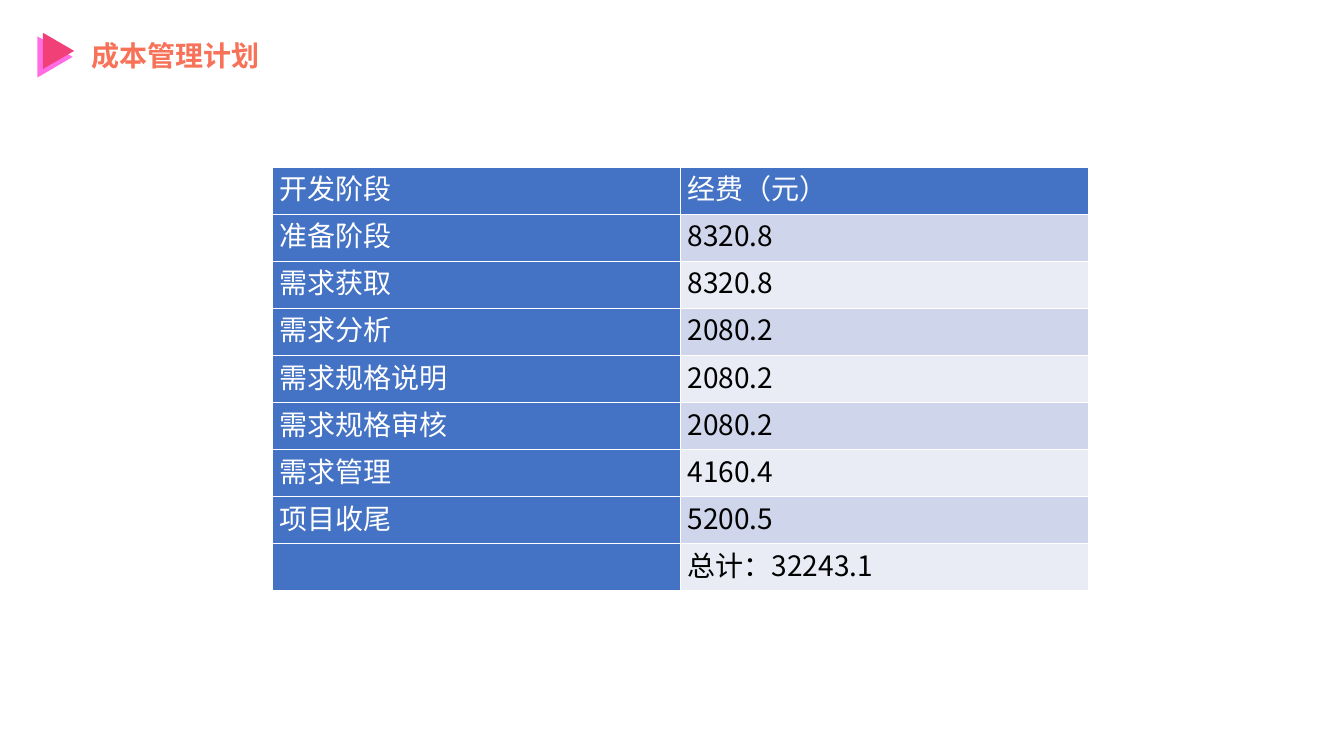
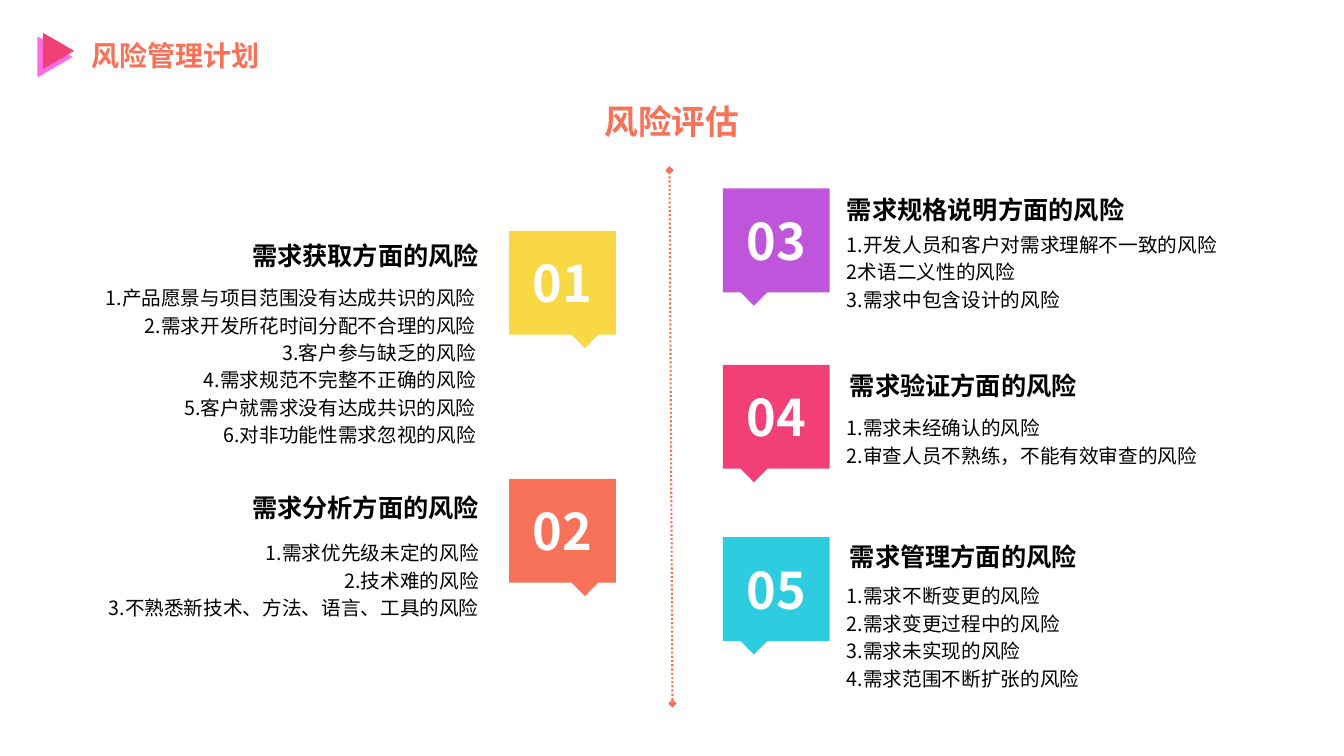
from dataclasses import dataclass

from lxml.etree import SubElement
from pptx import Presentation
from pptx.dml.color import RGBColor
from pptx.enum.dml import MSO_LINE
from pptx.enum.shapes import MSO_CONNECTOR, MSO_SHAPE
from pptx.enum.text import MSO_ANCHOR, MSO_AUTO_SIZE, PP_ALIGN
from pptx.oxml.ns import qn
from pptx.util import Inches, Pt

FONT = "Noto Sans CJK SC"
CORAL, PINK, ROSE = "F77258", "FF6CE4", "F04077"
GOLD, PURPLE, CYAN = "F8D845", "BF55DB", "2DCCDF"
BLUE, DARK, LIGHT = "4472C4", "CFD5EA", "E9EBF5"
WHITE, BLACK = "FFFFFF", "000000"

Box = tuple[float, float, float, float]


@dataclass
class Risk:
    num: str
    tint: str
    top: float
    left: bool
    name: str
    head: Box
    body: Box
    items: list[str]


COSTS = [
    ("开发阶段", "经费（元）"),
    ("准备阶段", "8320.8"),
    ("需求获取", "8320.8"),
    ("需求分析", "2080.2"),
    ("需求规格说明", "2080.2"),
    ("需求规格审核", "2080.2"),
    ("需求管理", "4160.4"),
    ("项目收尾", "5200.5"),
    ("", "总计：32243.1"),
]

RISKS = [
    Risk("01", GOLD, 2.29, True, "需求获取方面的风险",
         (2.48, 2.38, 2.27, 0.3), (0.6, 2.81, 4.12, 1.65),
         ["1.产品愿景与项目范围没有达成共识的风险",
          "2.需求开发所花时间分配不合理的风险",
          "3.客户参与缺乏的风险",
          "4.需求规范不完整不正确的风险",
          "5.客户就需求没有达成共识的风险",
          "6.对非功能性需求忽视的风险"]),
    Risk("02", CORAL, 4.75, True, "需求分析方面的风险",
         (2.48, 4.88, 2.27, 0.3), (0.6, 5.36, 4.15, 0.8),
         ["1.需求优先级未定的风险",
          "2.技术难的风险",
          "3.不熟悉新技术、方法、语言、工具的风险"]),
    Risk("03", PURPLE, 1.87, False, "需求规格说明方面的风险",
         (8.4, 1.93, 2.78, 0.3), (8.4, 2.3, 3.99, 0.8),
         ["1.开发人员和客户对需求理解不一致的风险",
          "2术语二义性的风险",
          "3.需求中包含设计的风险"]),
    Risk("04", ROSE, 3.62, False, "需求验证方面的风险",
         (8.43, 3.67, 2.27, 0.3), (8.4, 4.12, 3.66, 0.52),
         ["1.需求未经确认的风险",
          "2.审查人员不熟练，不能有效审查的风险"]),
    Risk("05", CYAN, 5.33, False, "需求管理方面的风险",
         (8.43, 5.37, 2.27, 0.3), (8.4, 5.78, 3.38, 1.08),
         ["1.需求不断变更的风险",
          "2.需求变更过程中的风险",
          "3.需求未实现的风险",
          "4.需求范围不断扩张的风险"]),
]


def rgb(code: str) -> RGBColor:
    return RGBColor.from_string(code)


def place(box: Box) -> list:
    return [Inches(v) for v in box]


def write(frame, lines: list[str], size: float, tint: str,
          bold: bool = False, align=PP_ALIGN.LEFT) -> None:
    for i, line in enumerate(lines):
        para = frame.add_paragraph() if i else frame.paragraphs[0]
        para.text = line
        para.alignment = align
        para.space_before = Pt(size * 0.2 if i else 0)
        for run in para.runs:
            font = run.font
            font.size, font.bold, font.name = Pt(size), bold, FONT
            font.color.rgb = rgb(tint)
            SubElement(run._r.get_or_add_rPr(), qn("a:ea"), typeface=FONT)


def inset(frame, gap: float = 0) -> None:
    frame.margin_left = frame.margin_right = Inches(gap * 2)
    frame.margin_top = frame.margin_bottom = Inches(gap)


def label(slide, box: Box, lines: list[str], size: float, tint: str = BLACK,
          bold: bool = False, align=PP_ALIGN.LEFT, wrap: bool = True) -> None:
    frame = slide.shapes.add_textbox(*place(box)).text_frame
    frame.word_wrap = wrap
    frame.vertical_anchor = MSO_ANCHOR.MIDDLE
    inset(frame)
    write(frame, lines, size, tint, bold, align)


def solid(slide, kind, box: Box, tint: str):
    shape = slide.shapes.add_shape(kind, *place(box))
    shape.shadow.inherit = False
    shape.fill.solid()
    shape.fill.fore_color.rgb = rgb(tint)
    shape.line.fill.background()
    return shape


def start(deck, text: str):
    slide = deck.slides.add_slide(deck.slide_layouts[5])
    title = slide.shapes.title
    title.left, title.top, title.width, title.height = place(
        (0.81, 0.33, 2.22, 0.44))
    frame = title.text_frame
    frame.auto_size = MSO_AUTO_SIZE.NONE
    frame.word_wrap = True
    frame.vertical_anchor = MSO_ANCHOR.TOP
    inset(frame, 0.05)
    write(frame, [text], 20, CORAL, True)
    for box, tint in (((0.34, 0.39, 0.41, 0.35), PINK),
                      ((0.4, 0.35, 0.36, 0.31), ROSE)):
        solid(slide, MSO_SHAPE.ISOSCELES_TRIANGLE, box, tint).rotation = 90
    return slide


def cost(deck) -> None:
    slide = start(deck, "成本管理计划")
    high = 4.2 / len(COSTS)
    table = slide.shapes.add_table(
        len(COSTS), 2, *place((2.7, 1.66, 8.1, 4.2))).table
    for col in table.columns:
        col.width = Inches(4.05)
    for r, pair in enumerate(COSTS):
        table.rows[r].height = Inches(high)
        for c, text in enumerate(pair):
            cell = table.cell(r, c)
            blue = r == 0 or c == 0
            cell.fill.solid()
            cell.fill.fore_color.rgb = rgb(
                BLUE if blue else DARK if r % 2 else LIGHT)
            cell.margin_left = cell.margin_right = Inches(0.07)
            cell.margin_top = cell.margin_bottom = 0
            if text:
                write(cell.text_frame, [text], 20, WHITE if blue else BLACK)


def axis(slide) -> None:
    line = slide.shapes.add_connector(
        MSO_CONNECTOR.STRAIGHT, *place((6.67, 6.98, 6.64, 1.69)))
    line.line.color.rgb = rgb(CORAL)
    line.line.width = Pt(1.5)
    line.line.dash_style = MSO_LINE.ROUND_DOT
    pen = line.line._get_or_add_ln()
    for end in ("a:headEnd", "a:tailEnd"):
        SubElement(pen, qn(end), type="diamond")
    SubElement(line._element.spPr, qn("a:effectLst"))


def draw(slide, risk: Risk) -> None:
    side = 5.05 if risk.left else 7.17
    align = PP_ALIGN.RIGHT if risk.left else PP_ALIGN.LEFT
    call = solid(slide, MSO_SHAPE.RECTANGULAR_CALLOUT,
                 (side, risk.top, 1.06, 1.03), risk.tint)
    call.adjustments[0] = 0.21 if risk.left else -0.21
    call.adjustments[1] = 0.63
    frame = call.text_frame
    frame.vertical_anchor = MSO_ANCHOR.MIDDLE
    inset(frame)
    write(frame, [risk.num], 36, WHITE, True, PP_ALIGN.CENTER)
    label(slide, risk.head, [risk.name], 18, bold=True, align=align,
          wrap=False)
    label(slide, risk.body, risk.items, 14, align=align)


def danger(deck) -> None:
    slide = start(deck, "风险管理计划")
    label(slide, (4.73, 0.95, 3.87, 0.5), ["风险评估"], 24, CORAL, True,
          PP_ALIGN.CENTER)
    axis(slide)
    for risk in RISKS:
        draw(slide, risk)


def main() -> None:
    deck = Presentation()
    deck.slide_width, deck.slide_height = Inches(13.33), Inches(7.5)
    cost(deck)
    danger(deck)
    deck.save("out.pptx")


if __name__ == "__main__":
    main()
